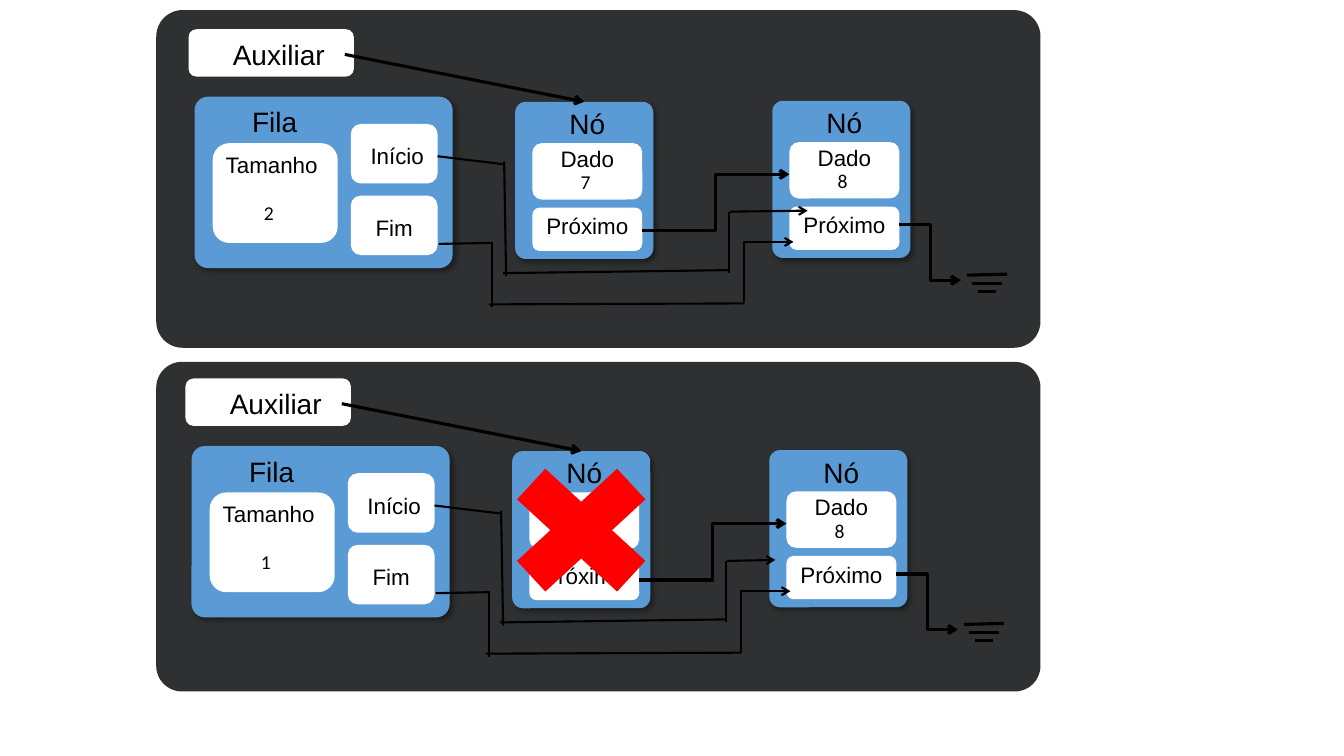
from lxml.etree import SubElement
from pptx import Presentation
from pptx.dml.color import RGBColor
from pptx.enum.shapes import MSO_CONNECTOR, MSO_SHAPE
from pptx.enum.text import MSO_AUTO_SIZE, PP_ALIGN
from pptx.oxml.ns import qn
from pptx.util import Inches, Pt

COLORS = {"panel": "2F3031", "block": "5B9BD5", "field": "FFFFFF",
          "ink": "000000", "cross": "FF0000"}
STYLES = {
    "title": {"size": Pt(20), "name": "Arial"},
    "label": {"size": Pt(16), "name": "Arial"},
    "value": {"size": Pt(14), "name": "Calibri"},
}
TEXT_HEIGHT = {"title": 4.4, "label": 3.7, "value": 3.4}
BLOCK_CORNER = 0.078
THICK, THIN = 2.25, 1.5


def cells(*counts):
    """Turn counts of columns or rows (ten to the inch) into lengths."""
    return [Inches(n / 10) for n in counts]


def shift(origin, x, y):
    return origin[0] + x, origin[1] + y


def add_box(shapes, origin, x, y, w, h, color, corner=None,
            kind=MSO_SHAPE.ROUNDED_RECTANGLE):
    sp = shapes.add_shape(kind, *cells(*shift(origin, x, y), w, h))
    sp.shadow.inherit = False
    sp.fill.solid()
    sp.fill.fore_color.rgb = RGBColor.from_string(COLORS[color])
    sp.line.fill.background()
    if corner:
        sp.adjustments[0] = corner
    return sp


def add_block(shapes, origin, w, h):
    """Blue rounded block with a soft shadow to the lower right."""
    sp = add_box(shapes, origin, 0, 0, w, h, "block", BLOCK_CORNER)
    effects = sp._element.spPr.find(qn("a:effectLst"))
    shadow = SubElement(effects, qn("a:outerShdw"), blurRad=str(Pt(4)),
                        dist=str(Pt(3)), dir="2700000", algn="tl", rotWithShape="0")
    color = SubElement(shadow, qn("a:srgbClr"), val=COLORS["ink"])
    SubElement(color, qn("a:alpha"), val="40000")
    return sp


def add_text(shapes, origin, x, y, w, text, style):
    tb = shapes.add_textbox(*cells(*shift(origin, x, y), w, TEXT_HEIGHT[style]))
    tf = tb.text_frame
    tf.word_wrap = True
    tf.auto_size = MSO_AUTO_SIZE.SHAPE_TO_FIT_TEXT
    p = tf.paragraphs[0]
    p.alignment = PP_ALIGN.LEFT if style == "value" else PP_ALIGN.CENTER
    r = p.add_run()
    r.text = text
    for key, value in STYLES[style].items():
        setattr(r.font, key, value)
    r.font.color.rgb = RGBColor.from_string(COLORS["ink"])
    return tb


def add_line(shapes, origin, start, end, width, arrow=False,
             kind=MSO_CONNECTOR.STRAIGHT):
    cx = shapes.add_connector(kind, *cells(*shift(origin, *start), *shift(origin, *end)))
    cx.line.width = Pt(width)
    cx.line.color.rgb = RGBColor.from_string(COLORS["ink"])
    if arrow:
        SubElement(cx.line._get_or_add_ln(), qn("a:tailEnd"), type="arrow")
    SubElement(cx._element.spPr, qn("a:effectLst"))
    return cx


def add_wire(shapes, origin, segments):
    """Chain of thin lines, the last one with an arrowhead."""
    return [add_line(shapes, origin, start, end, THIN, (start, end) == segments[-1])
            for start, end in segments]


def add_queue(shapes, origin, size):
    """Draw the queue block and return its Início label."""
    g = shapes.add_group_shape().shapes
    add_block(g, origin, 25.6, 17)
    add_box(g, origin, 1.8, 4.6, 12.4, 9.9, "field")
    add_text(g, origin, 4.2, 0.3, 7.5, "Fila", "title")
    add_text(g, origin, 1.8, 4.9, 11.7, "Tamanho", "label")
    add_text(g, origin, 5.9, 9.8, 3.4, size, "value")
    labels = []
    for text, x, top in (("Início", 16.1, 2.7), ("Fim", 15.8, 9.8)):
        add_box(g, origin, 15.5, top, 8.6, 5.9, "field")
        labels.append(add_text(g, origin, x, top + 1.35, 8, text, "label"))
    return labels[0]


def add_node(shapes, origin, value):
    """Draw a node and return its blue block."""
    g = shapes.add_group_shape().shapes
    block = add_block(g, origin, 13.7, 15.6)
    add_box(g, origin, 1.7, 4.1, 10.9, 5.6, "field")
    add_text(g, origin, 4, 0, 6.3, "Nó", "title")
    add_text(g, origin, 2.7, 3.8, 8.9, "Dado", "label")
    add_box(g, origin, 1.7, 10.5, 10.9, 4.3, "field")
    add_text(g, origin, 1.7, 10.5, 10.9, "Próximo", "label")
    if value:
        add_text(g, origin, 5.5, 6.3, 3.4, value, "value")
    return block


def add_ground(shapes, origin):
    g = shapes.add_group_shape().shapes
    for i, (width, rise) in enumerate(((4, 0.1), (3, 0), (1.7, 0))):
        y = 27.3 + 0.8 * i
        add_line(g, origin, (97.9 - width / 2, y), (97.9 + width / 2, y - rise), THICK)


def add_scene(shapes, origin, size, first_value, start_tip):
    start_label = add_queue(shapes, shift(origin, 19.3, 9.6), size)
    add_ground(shapes, origin)
    first_node = add_node(shapes, shift(origin, 51.1, 10.1), first_value)
    add_node(shapes, shift(origin, 76.6, 10), "8")
    for start, end in (((89.2, 22.3), (95.3, 27.8)), ((63.7, 22.9), (78.3, 17.3))):
        add_line(shapes, origin, start, end, THICK, True, MSO_CONNECTOR.ELBOW)

    add_wire(shapes.add_group_shape().shapes, origin, [
        ((43.5, 24.2), (48.8, 24.1)), ((48.8, 24), (48.8, 30.5)),
        ((48.5, 30.2), (73.8, 30.1)), ((73.8, 30.1), (73.8, 24)),
        ((73.7, 24), (78.7, 24))])
    start_wire = add_wire(shapes, origin, [
        ((43.5, 15.6), (50, 16.3)), ((50, 16), (50.2, 27.4)),
        ((49.9, 27.1), (72.3, 26.8)), ((72.3, 27.1), (72.3, 21)),
        ((72.4, 21), (start_tip, 20.9))])
    start_wire[0].begin_connect(start_label, 3)

    add_box(shapes, origin, 18.7, 2.9, 16.4, 4.7, "field")
    add_text(shapes, origin, 21.1, 3.2, 13.1, "Auxiliar", "title")
    pointer = add_line(shapes, origin, (34.2, 5.4), (58.2, 10.1), THICK, True)
    pointer.end_connect(first_node, 0)


def main():
    prs = Presentation()
    prs.slide_width, prs.slide_height = Inches(13.33), Inches(7.5)
    s = prs.slides.add_slide(prs.slide_layouts[6])
    page, lower = (0, 0), (-0.3, 34.65)
    for top, height in ((35.9, 32.7), (1, 33.5)):
        add_box(s.shapes, page, 15.5, top, 87.7, height, "panel", BLOCK_CORNER)
    add_scene(s.shapes, page, "2", "7", 80.1)
    add_scene(s.shapes, lower, "1", None, 77.2)
    add_box(s.shapes, page, 48.1, 43.8, 19.1, 17.6, "cross", kind=MSO_SHAPE.MATH_MULTIPLY)
    prs.save("out.pptx")


if __name__ == "__main__":
    main()
